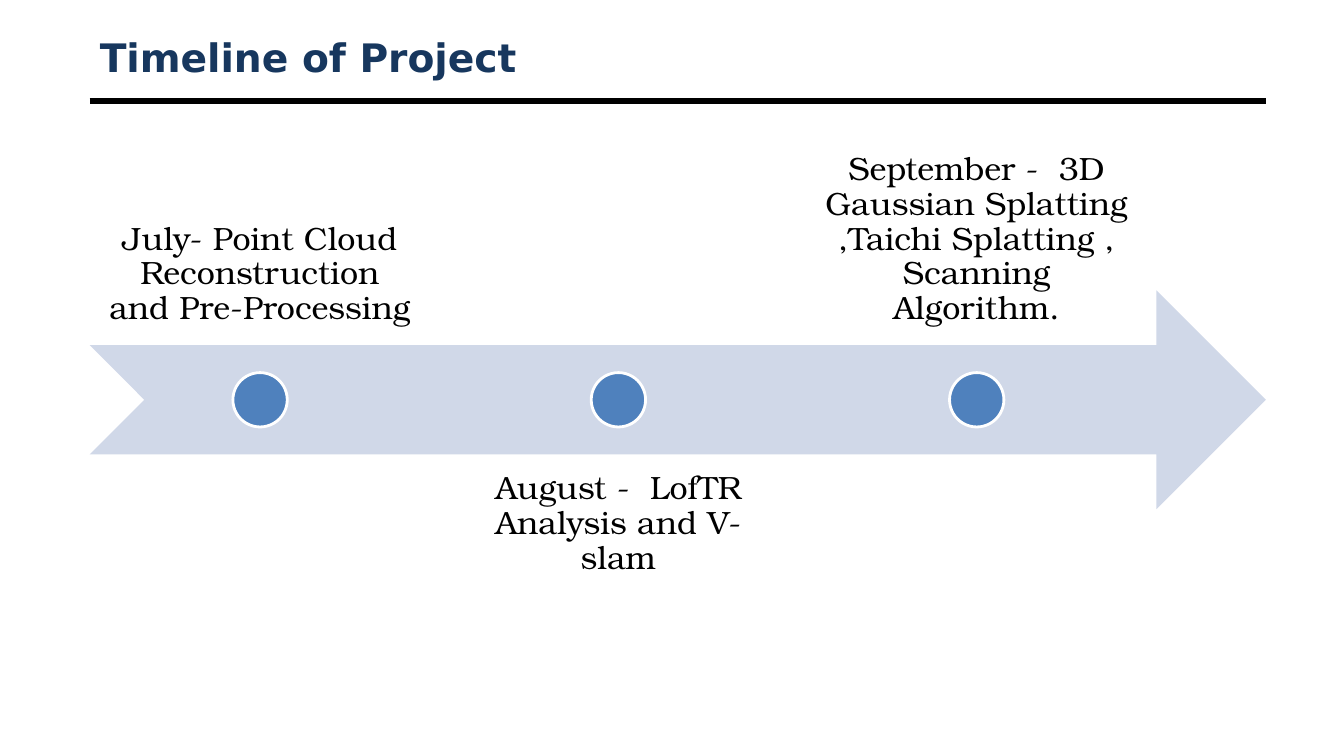
from dataclasses import dataclass

from lxml.etree import SubElement
from pptx import Presentation
from pptx.dml.color import RGBColor as RGB
from pptx.enum.shapes import MSO_CONNECTOR as Connector, MSO_SHAPE as Shape
from pptx.enum.text import MSO_ANCHOR as Anchor, MSO_AUTO_SIZE as AutoSize, PP_ALIGN as Align
from pptx.oxml.ns import qn
from pptx.util import Cm, Pt


@dataclass(frozen=True)
class Theme:
    title_color: RGB = RGB.from_string("17375E")
    text_color: RGB = RGB.from_string("000000")
    arrow_color: RGB = RGB.from_string("D0D8E8")
    dot_color: RGB = RGB.from_string("4F81BD")
    dot_line: RGB = RGB.from_string("FFFFFF")
    title_font: str = "DejaVu Sans"
    body_font: str = "TeX Gyre Bonum"
    title_size: Pt = Pt(28)
    body_size: Pt = Pt(23)


THEME = Theme()

# Shared geometry
LEFT, WIDTH = Cm(2.26), Cm(29.64)
ARROW_TOP, BAND_HEIGHT = Cm(7.32), Cm(5.51)
LABEL_WIDTH, LABEL_STEP = Cm(8.59), Cm(9.03)
LABEL_ABOVE, LABEL_BELOW = Cm(3.18), Cm(11.43)
LABEL_INSET = Cm(0.46)
DOT_SIZE = Cm(1.37)

MILESTONES = [
    "July- Point Cloud Reconstruction and Pre-Processing",
    "August -  LofTR Analysis and V-slam",
    "September -  3D Gaussian Splatting ,Taichi Splatting , Scanning Algorithm.",
]


def style(p, font, size, color, bold=False):
    p.font.name, p.font.size, p.font.bold = font, size, bold
    p.font.color.rgb = color


def add_title(s, text):
    sp = s.shapes.title
    sp.left, sp.top, sp.width, sp.height = LEFT, Cm(0.76), WIDTH, Cm(1.35)
    tf = sp.text_frame
    tf.text = text
    tf.auto_size = AutoSize.NONE
    tf.vertical_anchor = Anchor.MIDDLE
    p = tf.paragraphs[0]
    p.alignment = Align.LEFT
    style(p, THEME.title_font, THEME.title_size, THEME.title_color, bold=True)


def add_rule(s, y):
    line = s.shapes.add_connector(Connector.STRAIGHT, LEFT, y, LEFT + WIDTH, y)
    line.line.color.rgb = THEME.text_color
    line.line.width = Pt(4.5)
    SubElement(line._element.spPr, qn("a:effectLst"))


def add_filled(shapes, kind, left, top, width, height, color):
    sp = shapes.add_shape(kind, left, top, width, height)
    sp.shadow.inherit = False
    sp.fill.solid()
    sp.fill.fore_color.rgb = color
    sp.line.fill.background()
    return sp


def add_label(shapes, text, left, above):
    top = LABEL_ABOVE if above else LABEL_BELOW
    tf = shapes.add_textbox(left, top, LABEL_WIDTH, BAND_HEIGHT).text_frame
    tf.word_wrap = True
    tf.vertical_anchor = Anchor.BOTTOM if above else Anchor.TOP
    tf.margin_left = tf.margin_right = LABEL_INSET
    tf.margin_top = tf.margin_bottom = LABEL_INSET
    tf.text = text
    p = tf.paragraphs[0]
    p.alignment = Align.CENTER
    p.line_spacing = 0.9
    style(p, THEME.body_font, THEME.body_size, THEME.text_color)


def add_dot(shapes, label_left):
    left = label_left + (LABEL_WIDTH - DOT_SIZE) // 2
    top = ARROW_TOP + (BAND_HEIGHT - DOT_SIZE) // 2
    sp = add_filled(shapes, Shape.OVAL, left, top, DOT_SIZE, DOT_SIZE, THEME.dot_color)
    sp.line.color.rgb = THEME.dot_line
    sp.line.width = Pt(2)


def add_timeline(s, milestones):
    shapes = s.shapes.add_group_shape().shapes
    add_filled(shapes, Shape.NOTCHED_RIGHT_ARROW, LEFT, ARROW_TOP, WIDTH, BAND_HEIGHT,
               THEME.arrow_color)
    # Labels alternate above and below the arrow
    for i, text in enumerate(milestones):
        left = LEFT + i * LABEL_STEP
        add_label(shapes, text, left, above=i % 2 == 0)
        add_dot(shapes, left)


def main():
    prs = Presentation()
    prs.slide_width, prs.slide_height = Cm(33.87), Cm(19.05)
    s = prs.slides.add_slide(prs.slide_layouts[5])

    # Heading
    add_rule(s, Cm(2.54))
    add_title(s, "Timeline of Project")

    # Timeline
    add_timeline(s, MILESTONES)

    prs.save("out.pptx")


if __name__ == "__main__":
    main()
